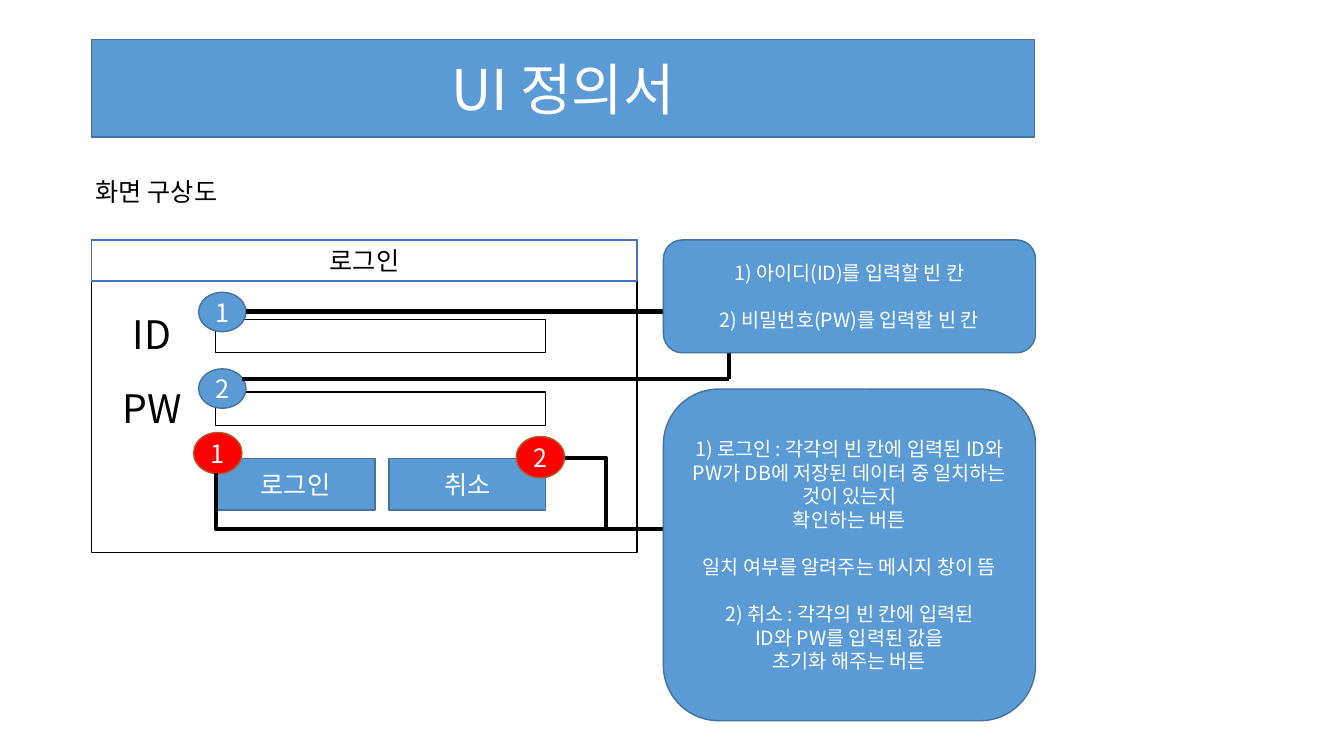
import dataclasses
import pptx
import pptx.util
import pptx.dml.color
import pptx.enum.shapes
import pptx.enum.text
import pptx.oxml.ns
import lxml.etree

SHAPE = pptx.enum.shapes.MSO_SHAPE
ALIGN = pptx.enum.text.PP_ALIGN


@dataclasses.dataclass(frozen=True)
class Theme:
    """Colours, type sizes and line widths of the slide."""
    font: str = "Noto Sans CJK KR"
    ink: str = "000000"
    paper: str = "FFFFFF"
    blue: str = "5B9BD5"
    blue_edge: str = "43739E"
    header_edge: str = "4472C4"
    red: str = "FF0000"
    red_edge: str = "AF5C24"
    title: int = 40
    label: int = 28
    body: int = 18
    note: int = 14
    note_gap: int = 17
    thin: int = 1
    thick: int = 3


@dataclasses.dataclass(frozen=True)
class Box:
    """A region measured in grid cells, ten columns and rows to the inch."""
    left: float
    top: float
    width: float
    height: float

    def inner(self, left, top, width, height):
        """Return a box placed relative to this one."""
        return Box(self.left + left, self.top + top, width, height)

    def lengths(self):
        """Return left, top, width and height as slide lengths."""
        return [cells(value) for value in dataclasses.astuple(self)]


THEME = Theme()


def cells(count):
    """Convert grid cells to a slide length."""
    return pptx.util.Inches(count / 10)


def colour(code):
    """Return the colour object for a hexadecimal code."""
    return pptx.dml.color.RGBColor.from_string(code)


def add_run(paragraph, text, size, ink):
    """Add a run set in the theme font for Latin and Korean letters."""
    run = paragraph.add_run()
    run.text = text
    run.font.name = THEME.font
    run.font.size = pptx.util.Pt(size)
    run.font.color.rgb = colour(ink)
    latin = run.font._element.find(pptx.oxml.ns.qn("a:latin"))
    east_asian = lxml.etree.Element(pptx.oxml.ns.qn("a:ea"), typeface=THEME.font)
    latin.addnext(east_asian)


def write(shape, paragraphs, size, ink, align=ALIGN.CENTER, gap=0):
    """Write paragraphs, each a list of lines, centred vertically."""
    frame = shape.text_frame
    frame.vertical_anchor = pptx.enum.text.MSO_ANCHOR.MIDDLE
    for index, lines in enumerate(paragraphs):
        paragraph = frame.add_paragraph() if index else frame.paragraphs[0]
        paragraph.alignment = align
        paragraph.space_before = pptx.util.Pt(gap if index else 0)
        for number, line in enumerate(lines):
            if number:
                paragraph.add_line_break()
            add_run(paragraph, line, size, ink)


def paint(shape, fill, edge):
    """Give a shape a solid fill and a thin outline."""
    shape.fill.solid()
    shape.fill.fore_color.rgb = colour(fill)
    shape.line.color.rgb = colour(edge)
    shape.line.width = pptx.util.Pt(THEME.thin)


def add_panel(slide, box, kind=SHAPE.RECTANGLE, fill=THEME.paper, edge=THEME.ink):
    """Add a flat preset shape."""
    shape = slide.shapes.add_shape(kind, *box.lengths())
    shape.shadow.inherit = False
    paint(shape, fill, edge)
    return shape


def add_label(slide, box, text, size, align=ALIGN.CENTER):
    """Add a text box holding one line."""
    shape = slide.shapes.add_textbox(*box.lengths())
    shape.text_frame.word_wrap = True
    write(shape, [[text]], size, THEME.ink, align)


def add_badge(slide, box, number, fill, edge):
    """Add a numbered oval marker."""
    badge = add_panel(slide, box, SHAPE.OVAL, fill, edge)
    write(badge, [[str(number)]], THEME.body, THEME.paper)


def add_link(slide, box, start, end, bent=False):
    """Connect two points of a box, bending once after a level run if asked."""
    points = [cells(value) for x, y in (start, end) for value in (box.left + x, box.top + y)]
    kind = pptx.enum.shapes.MSO_CONNECTOR
    link = slide.shapes.add_connector(kind.ELBOW if bent else kind.STRAIGHT, *points)
    link.line.color.rgb = colour(THEME.ink)
    link.line.width = pptx.util.Pt(THEME.thick)
    properties = link._element.spPr
    lxml.etree.SubElement(properties, pptx.oxml.ns.qn("a:effectLst"))
    if bent:
        properties.find(pptx.oxml.ns.qn("a:prstGeom")).set("prst", "bentConnector2")


def build_title(slide, box):
    """Turn the title placeholder into the banner."""
    title = slide.shapes.title
    title.left, title.top, title.width, title.height = box.lengths()
    paint(title, THEME.blue, THEME.blue_edge)
    title.text_frame.auto_size = pptx.enum.text.MSO_AUTO_SIZE.NONE
    write(title, [["UI 정의서"]], THEME.title, THEME.paper)


def build_login_screen(slide, box):
    """Draw the login window with its fields, buttons, markers and links."""
    add_panel(slide, box)
    header = add_panel(slide, box.inner(0, 0, box.width, 4.1), edge=THEME.header_edge)
    write(header, [["로그인"]], THEME.body, THEME.ink)
    for row, name in enumerate(("ID", "PW")):
        add_label(slide, box.inner(1.5, 6.5 + 7.3 * row, 9, 5.7), name, THEME.label)
        add_panel(slide, box.inner(12.3, 7.9 + 7.2 * row, 32.7, 3.3))
        add_badge(slide, box.inner(10.6, 5.2 + 7.6 * row, 4.7, 3.9), row + 1,
                  THEME.blue, THEME.blue_edge)
    buttons = (("로그인", 12.3, 15.8, 10.1, 19.1), ("취소", 29.5, 15.5, 42.1, 19.5))
    for number, (name, left, width, badge_left, badge_top) in enumerate(buttons, 1):
        button = add_panel(slide, box.inner(left, 21.7, width, 5.1),
                           fill=THEME.blue, edge=THEME.blue_edge)
        write(button, [[name]], THEME.body, THEME.paper)
        add_badge(slide, box.inner(badge_left, badge_top, 4.8, 4.1), number,
                  THEME.red, THEME.red_edge)
    add_link(slide, box, (57.8, 28.7), (12.3, 23.1), bent=True)
    add_link(slide, box, (46.9, 21.6), (51, 28.7), bent=True)
    add_link(slide, box, (15.3, 7.1), (56.7, 7.1))
    add_link(slide, box, (14.9, 13.8), (63.2, 13.8))
    add_link(slide, box, (63.2, 13.8), (63.2, 11.2))


def build_callout(slide, box, paragraphs):
    """Draw a rounded note explaining the numbered markers."""
    callout = add_panel(slide, box, SHAPE.ROUNDED_RECTANGLE, THEME.blue, THEME.blue_edge)
    write(callout, paragraphs, THEME.note, THEME.paper, gap=THEME.note_gap)


def build_definition_slide(presentation):
    """Lay out the whole screen definition slide."""
    slide = presentation.slides.add_slide(presentation.slide_layouts[5])
    build_title(slide, Box(9.1, 3.9, 93.5, 9.7))
    add_label(slide, Box(8.5, 17, 15.5, 4), "화면 구상도", THEME.body, ALIGN.LEFT)
    build_login_screen(slide, Box(9.1, 23.8, 54.1, 31))
    build_callout(slide, Box(65.8, 23.8, 36.9, 11.2), [
        ["1) 아이디(ID)를 입력할 빈 칸"],
        ["2) 비밀번호(PW)를 입력할 빈 칸"],
    ])
    build_callout(slide, Box(65.8, 38.6, 36.9, 32.9), [
        ["1) 로그인 : 각각의 빈 칸에 입력된 ID와 PW가 DB에 저장된 데이터 중 일치하는 것이 있는지",
         "확인하는 버튼"],
        ["일치 여부를 알려주는 메시지 창이 뜸"],
        ["2) 취소 : 각각의 빈 칸에 입력된", "ID와 PW를 입력된 값을", "초기화 해주는 버튼"],
    ])


presentation = pptx.Presentation()
presentation.slide_width = pptx.util.Inches(13.33)
presentation.slide_height = pptx.util.Inches(7.5)
build_definition_slide(presentation)
presentation.save("out.pptx")
